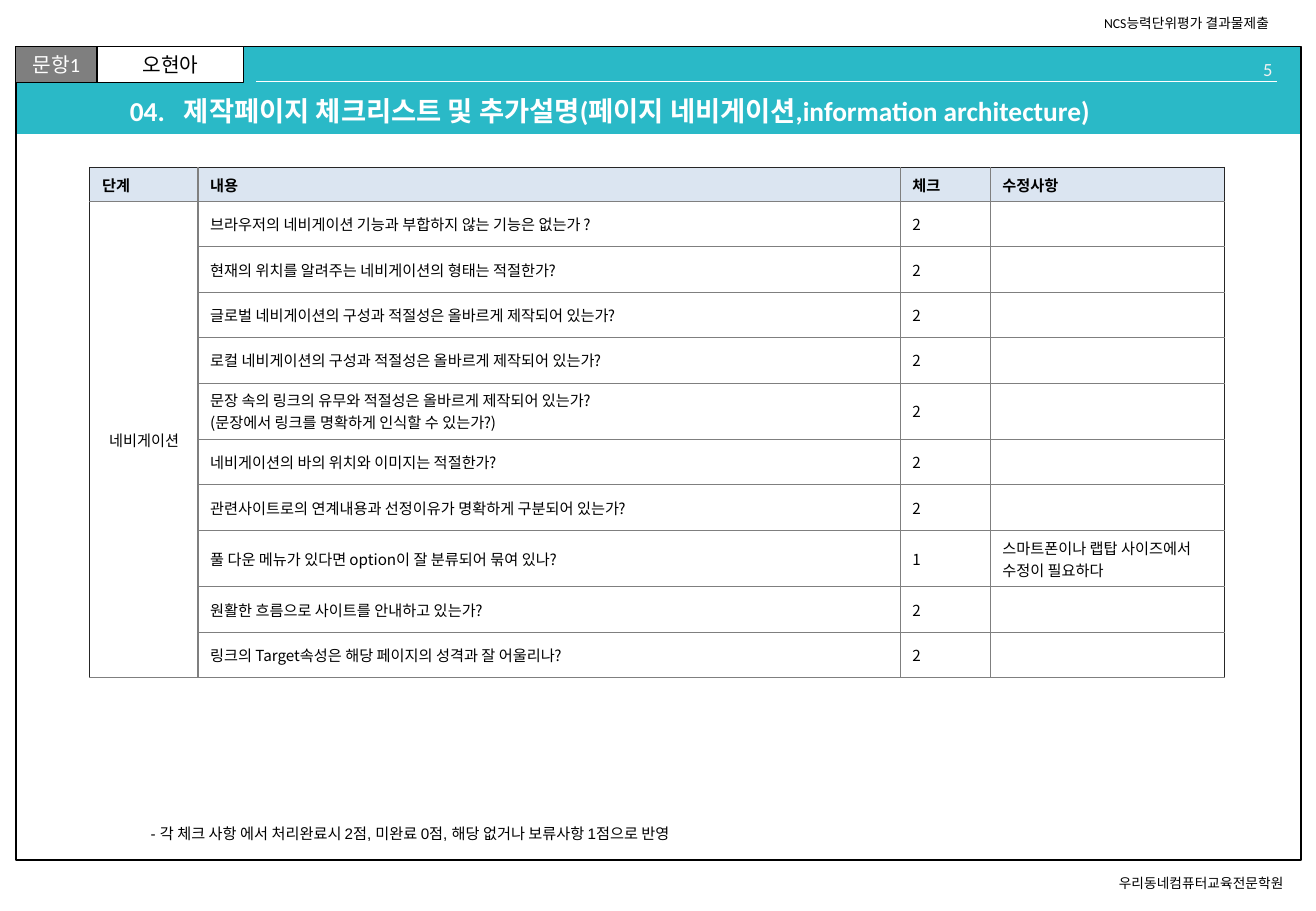
from lxml import etree
from pptx import Presentation
from pptx.dml.color import RGBColor
from pptx.enum.shapes import MSO_CONNECTOR, MSO_SHAPE
from pptx.enum.text import MSO_ANCHOR, MSO_AUTO_SIZE, PP_ALIGN
from pptx.oxml.ns import qn
from pptx.util import Cm, Pt

LEFT, CENTER, RIGHT = PP_ALIGN.LEFT, PP_ALIGN.CENTER, PP_ALIGN.RIGHT
TOP, MIDDLE = MSO_ANCHOR.TOP, MSO_ANCHOR.MIDDLE
RECT = MSO_SHAPE.RECTANGLE
STRAIGHT = MSO_CONNECTOR.STRAIGHT
FIXED = MSO_AUTO_SIZE.NONE

TEAL = RGBColor(0x2A, 0xB9, 0xC7)
GRAY = RGBColor(0x7F, 0x7F, 0x7F)
DARK = RGBColor(0x26, 0x26, 0x26)
PALE = RGBColor(0xDB, 0xE5, 0xF1)
LIGHT = RGBColor(0xF2, 0xF2, 0xF2)
WHITE = RGBColor(0xFF, 0xFF, 0xFF)
BLACK = RGBColor(0x00, 0x00, 0x00)

LATIN = "Calibri"
KOREAN = "Noto Sans CJK KR"

# Frame box in centimetres: left, top, width, height
FRAME = (0.33, 0.97, 26.87, 17.02)

WIDTHS = (2.26, 14.68, 1.88, 4.9)
HEADS = ("단계", "내용", "체크", "수정사항")
STAGE = "네비게이션"
CHECKS = (
    ("브라우저의 네비게이션 기능과 부합하지 않는 기능은 없는가 ?", "2", ""),
    ("현재의 위치를 알려주는 네비게이션의 형태는 적절한가?", "2", ""),
    ("글로벌 네비게이션의 구성과 적절성은 올바르게 제작되어 있는가?", "2", ""),
    ("로컬 네비게이션의 구성과 적절성은 올바르게 제작되어 있는가?", "2", ""),
    ("문장 속의 링크의 유무와 적절성은 올바르게 제작되어 있는가?\n"
     "(문장에서 링크를 명확하게 인식할 수 있는가?)", "2", ""),
    ("네비게이션의 바의 위치와 이미지는 적절한가?", "2", ""),
    ("관련사이트로의 연계내용과 선정이유가 명확하게 구분되어 있는가?", "2", ""),
    ("풀 다운 메뉴가 있다면 option이 잘 분류되어 묶여 있나?", "1",
     "스마트폰이나 랩탑 사이즈에서 수정이 필요하다"),
    ("원활한 흐름으로 사이트를 안내하고 있는가?", "2", ""),
    ("링크의 Target속성은 해당 페이지의 성격과 잘 어울리나?", "2", ""),
)


def write(frame, text, size=9, font=LATIN, color=BLACK, bold=False,
          align=LEFT, anchor=TOP, space=None):
    frame.word_wrap = True
    frame.vertical_anchor = anchor
    for i, line in enumerate(text.split("\n")):
        para = frame.add_paragraph() if i else frame.paragraphs[0]
        para.alignment = align
        para.line_spacing = space
        if not line:
            # An empty cell keeps the small text height
            end = etree.SubElement(para._p, qn("a:endParaRPr"))
            end.set("sz", str(size * 100))
            continue
        run = para.add_run()
        run.text = line
        run.font.size, run.font.bold = Pt(size), bold
        run.font.name = font
        run.font.color.rgb = color
        east = etree.SubElement(run._r.get_or_add_rPr(), qn("a:ea"))
        east.set("typeface", KOREAN)


def label(slide, box, text, **form):
    area = slide.shapes.add_textbox(*map(Cm, box))
    write(area.text_frame, text, **form)


def block(slide, box, fill=None, line=None, width=0.75):
    shape = slide.shapes.add_shape(RECT, *map(Cm, box))
    shape.shadow.inherit = False
    if fill is None:
        shape.fill.background()
    else:
        shape.fill.solid()
        shape.fill.fore_color.rgb = fill
    if line is None:
        shape.line.fill.background()
    else:
        shape.line.color.rgb = line
        shape.line.width = Pt(width)
    return shape


def header(slide, box):
    x, y, wide, high = box
    # Band and page frame
    block(slide, (x, y, wide, 1.83), fill=TEAL)
    block(slide, box, line=BLACK, width=1)

    # Question and name tags
    left = x
    for text, size, fill, color in (("문항1", 1.7, GRAY, WHITE),
                                    ("오현아", 3.07, WHITE, BLACK)):
        tag = block(slide, (left, y, size, 0.76), fill=fill, line=BLACK)
        write(tag.text_frame, text, size=12, color=color,
              align=CENTER, anchor=MIDDLE)
        left += size

    # Page number and rule
    label(slide, (x + 23.52, y + 0.12, 3, 0.51), "5",
          size=11, color=LIGHT, align=RIGHT)
    rule = slide.shapes.add_connector(
        STRAIGHT, Cm(x + 5.03), Cm(y + 0.73), Cm(x + 26.37), Cm(y + 0.73))
    rule.line.color.rgb = WHITE
    rule.line.width = Pt(0.75)
    etree.SubElement(rule._element.spPr, qn("a:effectLst"))

    # Title, with a tab stop after its number
    title = slide.shapes.title
    title.left, title.top = Cm(x + 2.13), Cm(y + 0.96)
    title.width, title.height = Cm(22.25), Cm(0.86)
    frame = title.text_frame
    frame.auto_size = FIXED
    write(frame, "04.\t제작페이지 체크리스트 및 추가설명"
          "(페이지 네비게이션,information architecture)",
          size=16.2, color=WHITE, bold=True, anchor=MIDDLE, space=0.9)
    props = frame.paragraphs[0]._p.get_or_add_pPr()
    stops = etree.SubElement(props, qn("a:tabLst"))
    etree.SubElement(stops, qn("a:tab"), pos=str(Cm(1.13)), algn="l")


def edge(cell, **colors):
    props = cell._tc.get_or_add_tcPr()
    for side in "LRTB":
        line = etree.SubElement(props, qn("a:ln" + side), w=str(Pt(0.75)))
        fill = etree.SubElement(line, qn("a:solidFill"))
        etree.SubElement(fill, qn("a:srgbClr"),
                         val=str(colors.get(side, GRAY)))


def checks(slide, box):
    rows = [HEADS] + [(STAGE if i == 0 else "",) + row
                      for i, row in enumerate(CHECKS)]
    last = len(HEADS) - 1
    grid = slide.shapes.add_table(
        len(rows), len(HEADS), *map(Cm, box)).table
    for col, width in zip(grid.columns, WIDTHS):
        col.width = Cm(width)
    for r, row in enumerate(rows):
        double = "\n" in row[1] or row[last] and r > 0
        grid.rows[r].height = Cm(0.71 if r == 0 else 1.18 if double else 0.95)
        for c, text in enumerate(row):
            cell = grid.cell(r, c)
            outer = {"L": c == 0, "R": c == last, "T": r == 0}
            edge(cell, **{side: DARK for side, on in outer.items() if on})
            cell.fill.solid()
            cell.fill.fore_color.rgb = PALE if r == 0 else WHITE
            cell.vertical_anchor = MIDDLE
            write(cell.text_frame, text, font=KOREAN, bold=r == 0,
                  align=CENTER if c == 0 and r else LEFT, anchor=None)
    grid.cell(1, 0).merge(grid.cell(len(CHECKS), 0))


def notes(slide, box):
    x, y, wide, high = box
    # Captions above and below the frame
    label(slide, (x + 22.5, y - 0.79, 4.37, 0.61),
          "NCS능력단위평가 결과물제출", size=8.1)
    label(slide, (x + 22.81, y + high + 0.17, 4.27, 0.61),
          "우리동네컴퓨터교육전문학원", size=8.1)
    # Scoring rule
    label(slide, (x + 2.57, y + 16.15, 22.96, 0.64),
          "- 각 체크 사항 에서 처리완료시 2점, 미완료 0점, "
          "해당 없거나 보류사항 1점으로 반영", font="Arial")


def main():
    deck = Presentation()
    deck.slide_width, deck.slide_height = Cm(27.51), Cm(19.05)
    slide = deck.slides.add_slide(deck.slide_layouts[5])
    header(slide, FRAME)
    checks(slide, (1.88, 3.5, sum(WIDTHS), 10.7))
    notes(slide, FRAME)
    # Bring the title in front of the band
    tree = slide.shapes._spTree
    tree.append(slide.shapes.title._element)
    deck.save("out.pptx")


if __name__ == "__main__":
    main()
